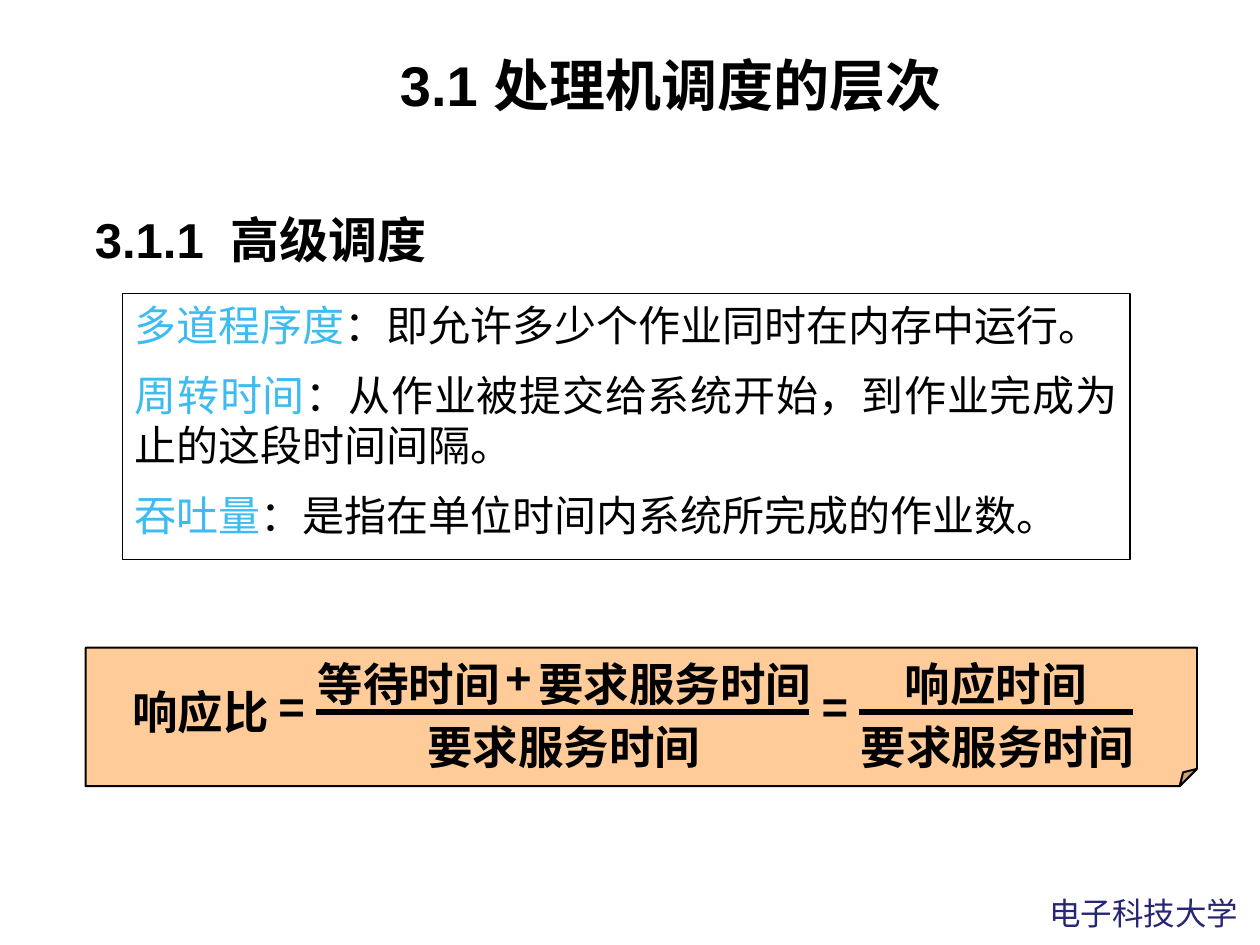
import pptx
import pptx.dml.color
import pptx.enum.shapes
import pptx.enum.text
import pptx.oxml
import pptx.oxml.ns
import pptx.util
from dataclasses import dataclass

Inches = pptx.util.Inches
Pt = pptx.util.Pt
ALIGN = pptx.enum.text.PP_ALIGN
ANCHOR = pptx.enum.text.MSO_ANCHOR
SHAPE = pptx.enum.shapes.MSO_SHAPE

FONT = "Arial"
COLORS = {"text": "000000", "term": "3EBBF0", "school": "262673",
          "panel": "FFFFFF", "note": "FFCC99"}


@dataclass
class Label:
    text: str
    left: float
    top: float
    width: float
    height: float = 0.43
    size: float = 26
    color: str = "text"
    bold: bool = True
    inset_x: float = 0
    inset_y: float = 0


@dataclass
class Definition:
    term: str
    meaning: str


@dataclass
class FractionBar:
    start: float
    end: float


def rgb(color: str) -> pptx.dml.color.RGBColor:
    return pptx.dml.color.RGBColor.from_string(COLORS[color])


def style(font, size: float, color: str, bold: bool = False) -> None:
    font.name = FONT
    font.size = Pt(size)
    font.bold = bold
    font.color.rgb = rgb(color)


def add_label(slide, label: Label):
    box = slide.shapes.add_textbox(Inches(label.left), Inches(label.top),
                                   Inches(label.width), Inches(label.height))
    frame = box.text_frame
    frame.word_wrap = False
    frame.margin_left = frame.margin_right = Inches(label.inset_x)
    frame.margin_top = frame.margin_bottom = Inches(label.inset_y)
    frame.text = label.text
    style(frame.paragraphs[0].runs[0].font, label.size, label.color, label.bold)
    return frame.paragraphs[0]


def add_panel(slide, preset, left: float, top: float, width: float,
              height: float, fill: str, line_width: float):
    panel = slide.shapes.add_shape(preset, Inches(left), Inches(top),
                                   Inches(width), Inches(height))
    panel.shadow.inherit = False
    panel.fill.solid()
    panel.fill.fore_color.rgb = rgb(fill)
    panel.line.color.rgb = rgb("text")
    panel.line.width = Pt(line_width)
    return panel


def set_fold(note, share: float) -> None:
    guides = note._element.spPr.find(".//" + pptx.oxml.ns.qn("a:avLst"))
    guides.clear()
    guides.append(pptx.oxml.parse_xml(
        f"<a:gd {pptx.oxml.ns.nsdecls('a')} name='adj' "
        f"fmla='val {round(share * 100000)}'/>"))


def add_definitions(frame, definitions: list[Definition]) -> None:
    frame.word_wrap = True
    frame.vertical_anchor = ANCHOR.TOP
    for index, definition in enumerate(definitions):
        paragraph = frame.add_paragraph() if index else frame.paragraphs[0]
        paragraph.alignment = ALIGN.JUSTIFY
        if index:
            paragraph.space_before = Pt(11)
        for text, color in ((definition.term, "term"),
                            (definition.meaning, "text")):
            run = paragraph.add_run()
            run.text = text
            style(run.font, 24, color)


def add_fraction_bar(slide, bar: FractionBar, y: float) -> None:
    line = slide.shapes.add_connector(
        pptx.enum.shapes.MSO_CONNECTOR.STRAIGHT,
        Inches(bar.start), Inches(y), Inches(bar.end), Inches(y))
    line.line.color.rgb = rgb("text")
    line.line.width = Pt(3.13)
    properties = line._element.spPr
    properties.append(pptx.oxml.parse_xml(
        f"<a:effectLst {pptx.oxml.ns.nsdecls('a')}/>"))


DEFINITIONS = [
    Definition("多道程序度", "：即允许多少个作业同时在内存中运行。"),
    Definition("周转时间", "：从作业被提交给系统开始，到作业完成为止的这段时间间隔。"),
    Definition("吞吐量", "：是指在单位时间内系统所完成的作业数。"),
]

# Response ratio formula: rows above, on and below the fraction bars
NUMERATOR, MIDDLE, BAR, DENOMINATOR = 5.21, 5.43, 5.65, 5.71
EQUALS = 5.38
FRACTION_BARS = [FractionBar(2.51, 6.42), FractionBar(6.82, 8.99)]
FORMULA = [
    Label("响应比", 1.05, MIDDLE, 1.09),
    Label("=", 2.21, EQUALS, 0.28),
    Label("等待时间", 2.52, NUMERATOR, 1.45),
    Label("+", 4.01, 5.15, 0.28),
    Label("要求服务时间", 4.27, NUMERATOR, 2.18),
    Label("要求服务时间", 3.39, DENOMINATOR, 2.18),
    Label("=", 6.52, EQUALS, 0.28),
    Label("响应时间", 7.18, NUMERATOR, 1.45),
    Label("要求服务时间", 6.83, DENOMINATOR, 2.18),
]


def main() -> None:
    deck = pptx.Presentation()
    deck.slide_width, deck.slide_height = Inches(10), Inches(7.5)
    slide = deck.slides.add_slide(deck.slide_layouts[5])

    # School name in the corner
    add_label(slide, Label("电子科技大学", 8.23, 7.05, 1.73, 0.4, 18, "school",
                           False, 0.1, 0.05))

    # Title
    title = slide.shapes.title
    title.left, title.top = Inches(1.09), Inches(0.4)
    title.width, title.height = Inches(8.47), Inches(0.6)
    title.text_frame.text = "3.1 处理机调度的层次"
    title.text_frame.vertical_anchor = ANCHOR.MIDDLE
    heading = title.text_frame.paragraphs[0]
    heading.alignment = ALIGN.CENTER
    heading.line_spacing = 0.9
    style(heading.runs[0].font, 32, "text", True)

    # Definitions
    panel = add_panel(slide, SHAPE.RECTANGLE, 0.97, 2.33, 8, 2.11, "panel", 0.75)
    add_definitions(panel.text_frame, DEFINITIONS)

    # Section heading
    section = add_label(slide, Label("3.1.1  高级调度", 0.59, 1.7, 2.96, 0.48, 28,
                                     inset_x=0.1, inset_y=0.05))
    section.alignment = ALIGN.CENTER
    section.line_spacing = 0.8

    # Formula on the folded note
    note = add_panel(slide, SHAPE.FOLDED_CORNER, 0.68, 5.14, 8.82, 1.1, "note", 1.13)
    set_fold(note, 0.125)
    for bar in FRACTION_BARS:
        add_fraction_bar(slide, bar, BAR)
    for label in FORMULA:
        add_label(slide, label)

    deck.save("out.pptx")


if __name__ == "__main__":
    main()
